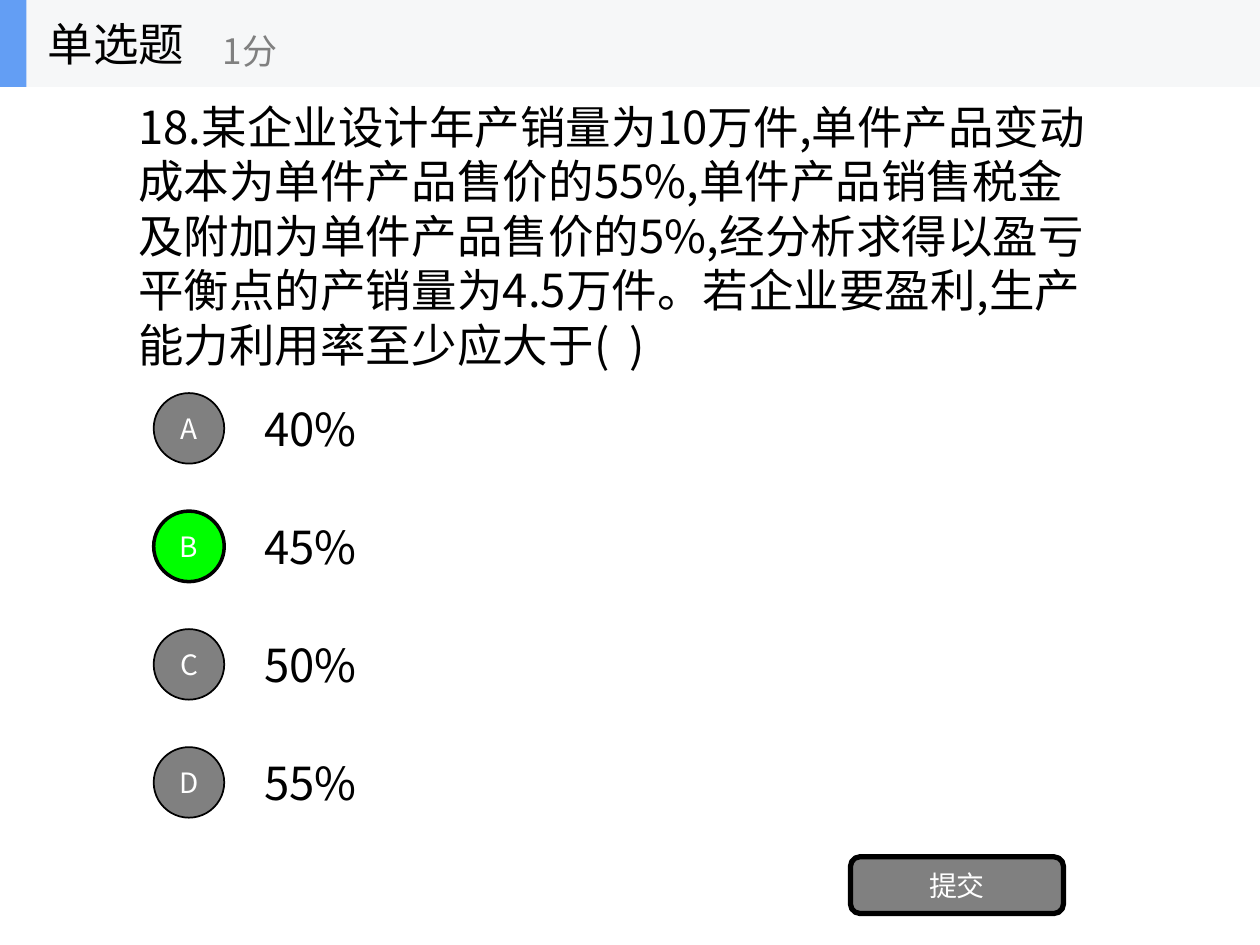
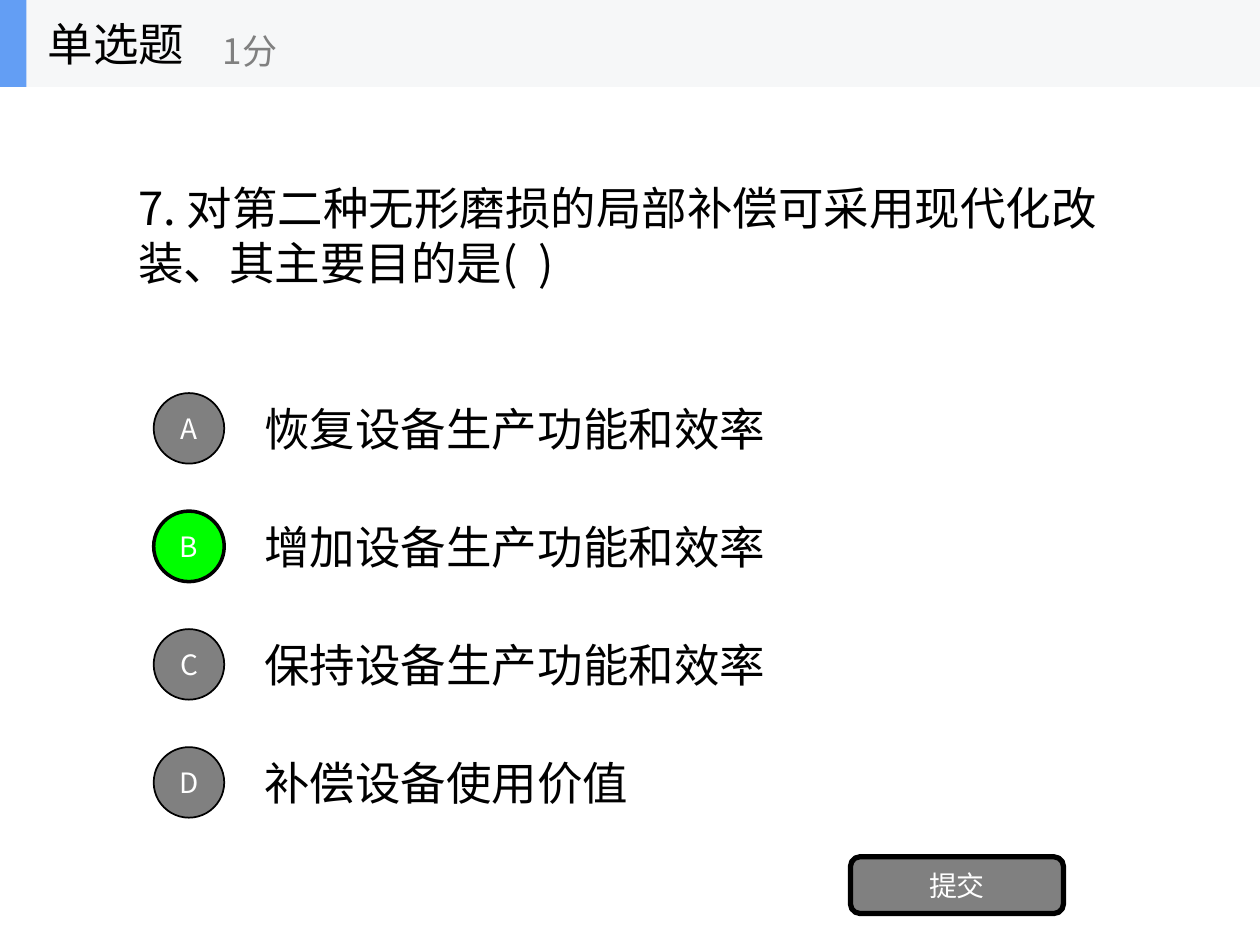
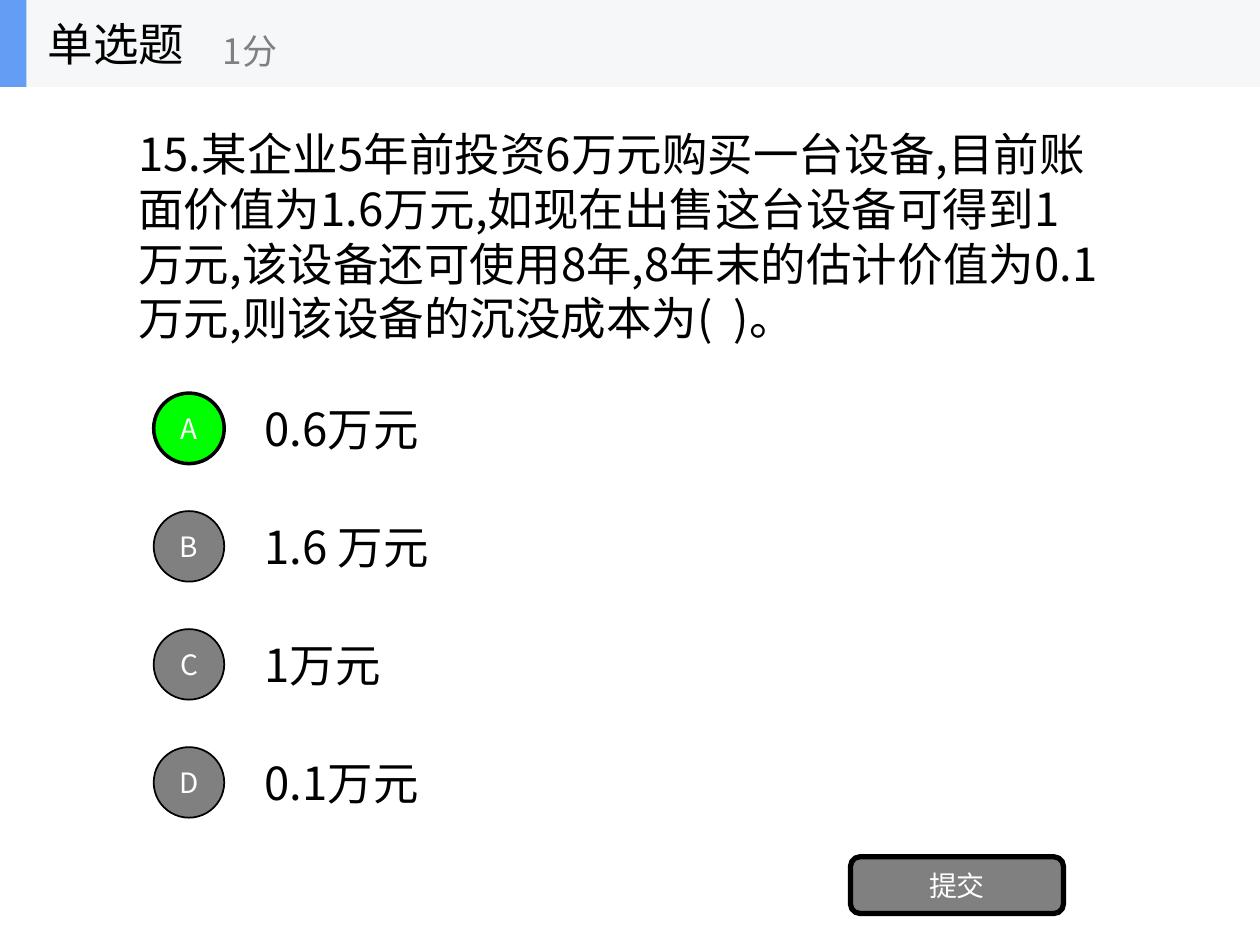
from typing import NamedTuple

from pptx import Presentation
from pptx.dml.color import RGBColor
from pptx.enum.shapes import MSO_SHAPE as Shape
from pptx.enum.text import MSO_ANCHOR as Anchor, MSO_AUTO_SIZE as AutoSize, PP_ALIGN as Align
from pptx.oxml.ns import qn
from pptx.util import Inches, Pt
from lxml.etree import SubElement

FONT = "Noto Sans CJK SC"
COLORS = {
    "band": "F6F7F8",
    "accent": "639EF4",
    "ink": "000000",
    "muted": "808080",
    "correct": "00FF00",
    "white": "FFFFFF",
}

# Option grid
FIRST_BADGE_TOP, LAST_BADGE_TOP = 3.12, 5.93
BADGE_SIZE = 0.56
ANSWER_OFFSET = 0.01


class Box(NamedTuple):
    left: float
    top: float
    width: float
    height: float

    def lengths(self) -> list:
        return [Inches(value) for value in self]


class Option(NamedTuple):
    answer: str
    width: float


class Question(NamedTuple):
    stem: str
    stem_box: Box
    options: list[Option]
    correct: str


QUESTIONS = [
    Question(
        "18.某企业设计年产销量为10万件,单件产品变动成本为单件产品售价的55%,"
        "单件产品销售税金及附加为单件产品售价的5%,经分析求得以盈亏平衡点的产销量为4.5万件。"
        "若企业要盈利,生产能力利用率至少应大于(  )",
        Box(1, 0.73, 7.89, 2.27),
        [Option("40%", 1.05), Option("45%", 1.05), Option("50%", 1.05), Option("55%", 1.05)],
        "B",
    ),
    Question(
        "7. 对第二种无形磨损的局部补偿可采用现代化改装、其主要目的是(  )",
        Box(1, 1.38, 7.83, 0.97),
        [
            Option("恢复设备生产功能和效率", 4.28),
            Option("增加设备生产功能和效率", 4.28),
            Option("保持设备生产功能和效率", 4.28),
            Option("补偿设备使用价值", 3.2),
        ],
        "B",
    ),
    Question(
        "15.某企业5年前投资6万元购买一台设备,目前账面价值为1.6万元,"
        "如现在出售这台设备可得到1万元,该设备还可使用8年,"
        "8年末的估计价值为0.1万元,则该设备的沉没成本为(  )。",
        Box(1, 0.95, 7.87, 1.84),
        [
            Option("0.6万元", 1.54),
            Option("1.6 万元", 1.65),
            Option("1万元", 1.24),
            Option("0.1万元", 1.54),
        ],
        "A",
    ),
]


def color(name: str) -> RGBColor:
    return RGBColor.from_string(COLORS[name])


def write(shape, text: str, size: float, ink: str, align=Align.LEFT) -> None:
    frame = shape.text_frame
    frame.text = text
    frame.vertical_anchor = Anchor.MIDDLE
    paragraph = frame.paragraphs[0]
    paragraph.alignment = align
    for run in paragraph.runs:
        run.font.size = Pt(size)
        run.font.name = FONT
        run.font.color.rgb = color(ink)
        SubElement(run.font._element, qn("a:ea"), typeface=FONT)


def add_text(shapes, box: Box, text: str, size: float = 26, ink: str = "ink", wrap: bool = True) -> None:
    textbox = shapes.add_textbox(*box.lengths())
    write(textbox, text, size, ink)
    textbox.text_frame.word_wrap = wrap
    textbox.text_frame.auto_size = AutoSize.SHAPE_TO_FIT_TEXT if wrap else AutoSize.NONE


def add_filled(shapes, kind: Shape, box: Box, fill: str, line_width: float = 0):
    shape = shapes.add_shape(kind, *box.lengths())
    shape.shadow.inherit = False
    shape.fill.solid()
    shape.fill.fore_color.rgb = color(fill)
    if line_width:
        shape.line.color.rgb = color("ink")
        shape.line.width = Pt(line_width)
    else:
        shape.line.fill.background()
    return shape


def add_button(shapes, kind: Shape, box: Box, label: str, fill: str, line_width: float) -> None:
    button = add_filled(shapes, kind, box, fill, line_width)
    write(button, label, 16, "white", Align.CENTER)


def add_options(shapes, question: Question) -> None:
    pitch = (LAST_BADGE_TOP - FIRST_BADGE_TOP) / (len(question.options) - 1)
    for index, (letter, option) in enumerate(zip("ABCD", question.options)):
        top = FIRST_BADGE_TOP + index * pitch
        add_text(shapes, Box(2, top + ANSWER_OFFSET, option.width, 0.54), option.answer)
        fill, line_width = ("correct", 2) if letter == question.correct else ("muted", 1)
        badge = Box(1.22, top, BADGE_SIZE, BADGE_SIZE)
        add_button(shapes, Shape.OVAL, badge, letter, fill, line_width)


def add_header(shapes) -> None:
    header = shapes.add_group_shape().shapes
    add_filled(header, Shape.RECTANGLE, Box(0, 0, 10, 0.69), "band")
    add_filled(header, Shape.RECTANGLE, Box(0, 0, 0.21, 0.69), "accent")
    add_text(header, Box(0.28, 0, 2.08, 0.69), "单选题", wrap=False)
    add_text(header, Box(1.67, 0.12, 2.5, 0.56), "1分", 20, "muted", wrap=False)


def main() -> None:
    deck = Presentation()
    deck.slide_width, deck.slide_height = Inches(10), Inches(7.5)
    for question in QUESTIONS:
        shapes = deck.slides.add_slide(deck.slide_layouts[6]).shapes
        add_text(shapes, question.stem_box, question.stem)
        add_options(shapes, question)
        # Submit button
        add_button(shapes, Shape.ROUNDED_RECTANGLE, Box(6.75, 6.8, 1.69, 0.45), "提交", "muted", 3)
        add_header(shapes)
    deck.save("out.pptx")


if __name__ == "__main__":
    main()
